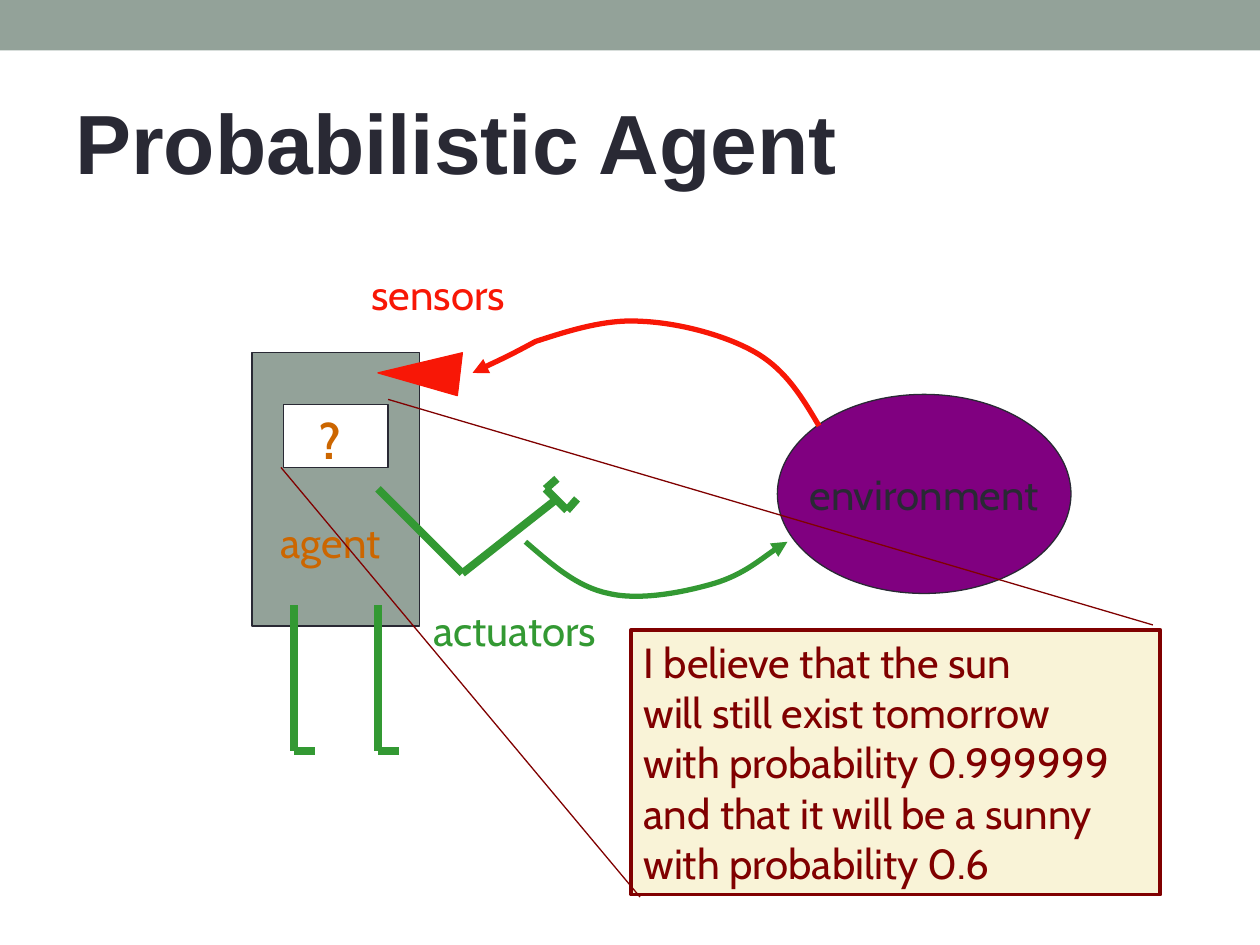
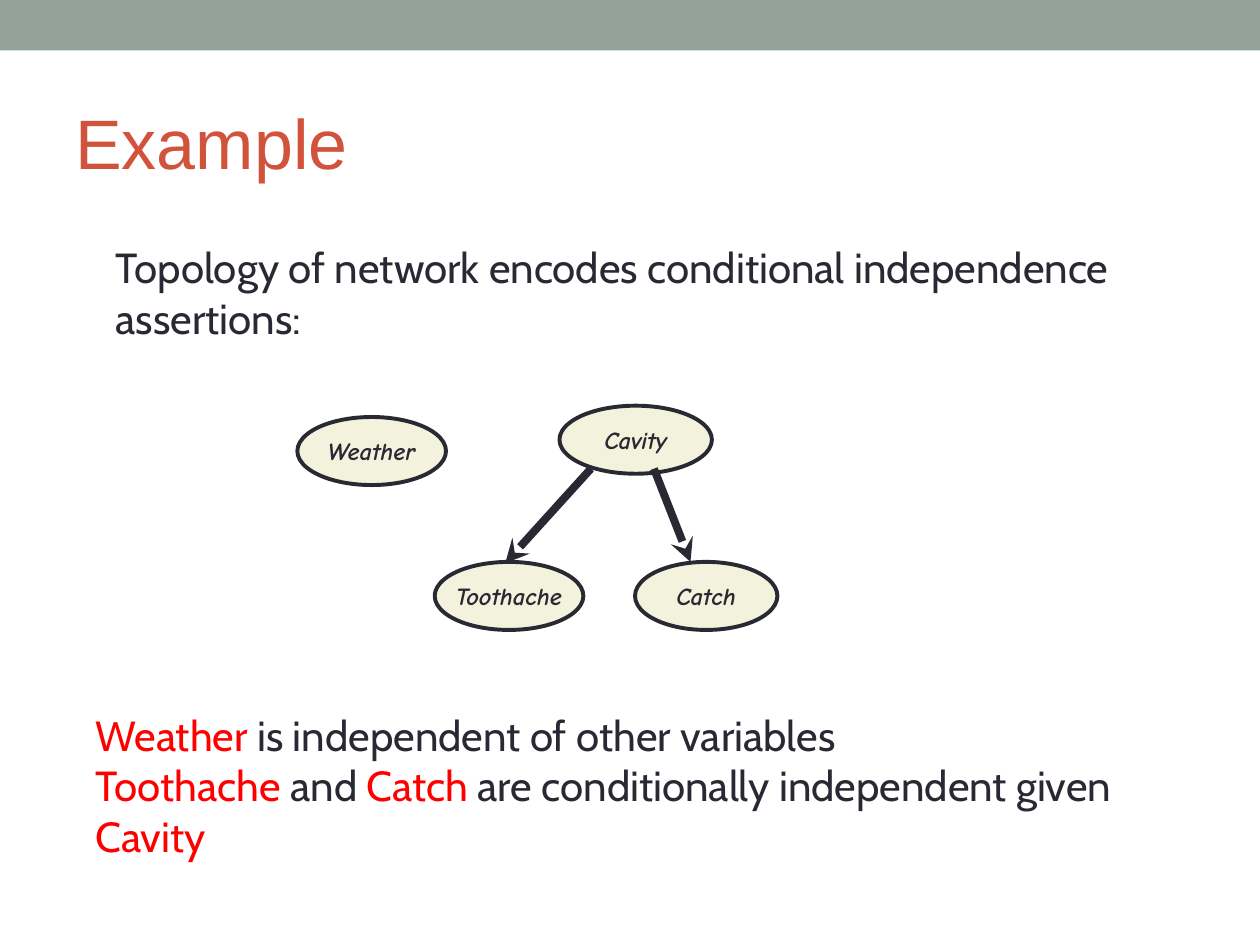
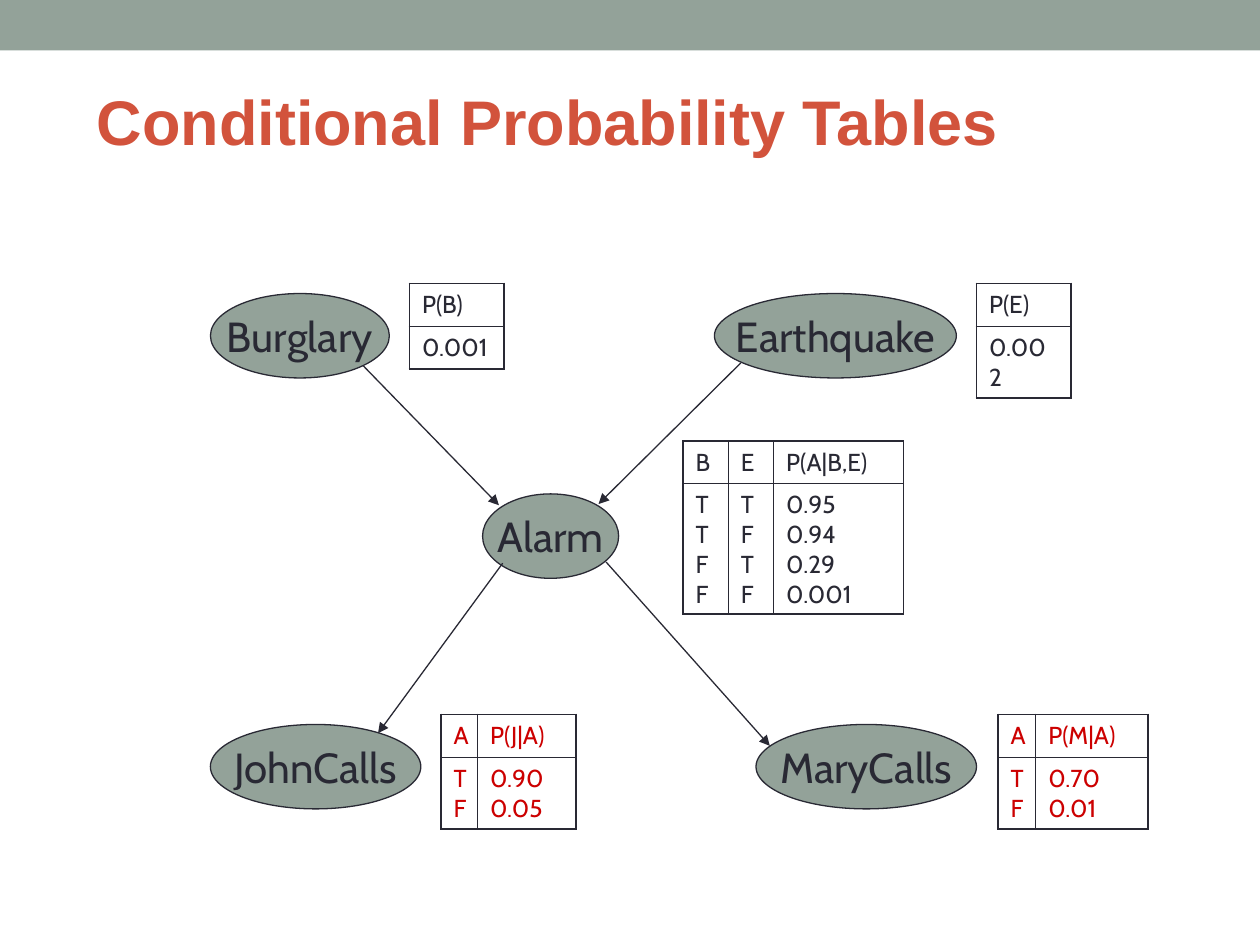
import pptx
import pptx.dml.color
import pptx.enum.shapes
import pptx.enum.text
import pptx.oxml.ns
import pptx.oxml.xmlchemy
import pptx.util
from lxml import etree

Inches = pptx.util.Inches
Pt = pptx.util.Pt
qn = pptx.oxml.ns.qn
SHAPES = pptx.enum.shapes.MSO_SHAPE
ALIGN = pptx.enum.text.PP_ALIGN
ANCHOR = pptx.enum.text.MSO_ANCHOR

COLORS = {
    "ink": "292934", "sage": "93A299", "brick": "D2533C", "white": "FFFFFF",
    "purple": "800080", "sensor": "F81706", "actuator": "339933",
    "agent": "CC6600", "maroon": "800000", "cream": "F9F3D7",
    "node": "F3F2DC", "variable": "FF0000", "evidence": "CC0000",
}
BODY_FONT = "Cabin"


def rgb(name):
    return pptx.dml.color.RGBColor.from_string(COLORS[name])


def write_text(frame, paragraphs, size=24, color="ink", font=BODY_FONT, bold=False,
               italic=False, align=ALIGN.LEFT, anchor=ANCHOR.TOP, wrap=True):
    """Each paragraph is a string or a list of (string, color); "\\n" is a line break."""
    frame.word_wrap = wrap
    frame.vertical_anchor = anchor
    for index, content in enumerate(paragraphs):
        paragraph = frame.paragraphs[0] if index == 0 else frame.add_paragraph()
        paragraph.alignment = align
        pieces = [(content, color)] if isinstance(content, str) else content
        for piece, piece_color in pieces:
            for number, line in enumerate(piece.split("\n")):
                if number:
                    paragraph.add_line_break()
                run = paragraph.add_run()
                run.text = line
                run.font.name = font
                run.font.size = Pt(size)
                run.font.bold = bold
                run.font.italic = italic
                run.font.color.rgb = rgb(piece_color)


def add_text(slide, left, top, width, height, paragraphs, **text_format):
    box = slide.shapes.add_textbox(Inches(left), Inches(top), Inches(width), Inches(height))
    write_text(box.text_frame, paragraphs, **text_format)


def set_line(shape, color, width, arrow=None):
    shape.line.color.rgb = rgb(color)
    shape.line.width = Pt(width)
    if arrow:
        line = shape._element.spPr.find(qn("a:ln"))
        etree.SubElement(line, qn("a:tailEnd")).set("type", arrow)


def add_box(slide, kind, left, top, width, height, fill, line="ink", line_width=0.75):
    shape = slide.shapes.add_shape(kind, Inches(left), Inches(top), Inches(width), Inches(height))
    shape.shadow.inherit = False
    shape.fill.solid()
    shape.fill.fore_color.rgb = rgb(fill)
    if line:
        set_line(shape, line, line_width)
    else:
        shape.line.fill.background()
    return shape


def add_line(slide, left, top, start, end, color, width, arrow=None):
    """Straight line between two points given relative to (left, top)."""
    connector = slide.shapes.add_connector(
        pptx.enum.shapes.MSO_CONNECTOR.STRAIGHT,
        Inches(left + start[0]), Inches(top + start[1]),
        Inches(left + end[0]), Inches(top + end[1]))
    set_line(connector, color, width, arrow)
    etree.SubElement(connector._element.spPr, qn("a:effectLst"))


def add_outline(slide, left, top, points, close):
    first, *others = [(Inches(left + x), Inches(top + y)) for x, y in points]
    builder = slide.shapes.build_freeform(*first)
    builder.add_line_segments(others, close=close)
    shape = builder.convert_to_shape()
    shape.shadow.inherit = False
    return shape


def add_curved_arrow(slide, left, top, points, color):
    """Start point, then two control points and an end point for each curve."""
    shape = add_outline(slide, left, top, points, close=False)
    outline = shape._element.spPr.find(".//" + qn("a:path"))
    segments = outline.findall(qn("a:lnTo"))
    for index in range(0, len(segments), 3):
        curve = etree.SubElement(outline, qn("a:cubicBezTo"))
        for segment in segments[index:index + 3]:
            curve.append(segment[0])
            outline.remove(segment)
    shape.fill.background()
    set_line(shape, color, 3, "triangle")


def add_slide(presentation, title, left=0.5, top=0.58, width=9, height=1.08, **title_format):
    """Blank slide with the top band and a title."""
    slide = presentation.slides.add_slide(presentation.slide_layouts[6])
    add_box(slide, SHAPES.RECTANGLE, 0, 0, 10, 0.4, "sage", line=None)
    add_text(slide, left, top, width, height, [title], font="Arial",
             anchor=ANCHOR.MIDDLE, **title_format)
    return slide


def add_node(slide, left, top, width, height, label, fill, line_width=0.75, **text_format):
    node = add_box(slide, SHAPES.OVAL, left, top, width, height, fill, line_width=line_width)
    write_text(node.text_frame, [label], align=ALIGN.CENTER, anchor=ANCHOR.MIDDLE,
               wrap=False, **text_format)


def draw_environment(slide, left, top):
    add_node(slide, left + 2.42, top + 0.6, 2.33, 1.58, "environment", "purple")
    add_curved_arrow(slide, left, top, [
        (2.75, 0.85),
        (2.62, 0.63), (2.49, 0.41), (2.25, 0.27),
        (2.01, 0.13), (1.63, 0.03), (1.33, 0.02),
        (1.04, 0), (0.72, 0.11), (0.5, 0.18),
        (0.28, 0.3), (0.08, 0.39), (0, 0.43)], "sensor")
    add_curved_arrow(slide, left, top, [
        (0.42, 1.77),
        (0.63, 1.95), (0.83, 2.13), (1.08, 2.18),
        (1.33, 2.24), (1.68, 2.17), (1.92, 2.1),
        (2.15, 2.03), (2.4, 1.82), (2.5, 1.77)], "actuator")


def draw_agent(slide, left, top):
    add_box(slide, SHAPES.RECTANGLE, left, top, 1.33, 2.17, "sage")
    add_text(slide, left + 0.13, top + 1.25, 1.1, 0.5, ["agent"], color="agent")
    add_box(slide, SHAPES.RECTANGLE, left + 0.25, top + 0.41, 0.83, 0.5, "white")
    add_text(slide, left + 0.44, top + 0.41, 0.38, 0.57, ["?"], size=28, bold=True, color="agent")

    arm = [((1, 1.08), (1.67, 1.75)), ((1.67, 1.75), (2.42, 1.16))]
    hand = [((2.33, 1.08), (2.5, 1.25)), ((2.33, 1.08), (2.42, 1)), ((2.5, 1.25), (2.58, 1.16))]
    legs = []
    for x in (0.33, 1):
        legs += [((x, 3.16), (x, 2)), ((x, 3.16), (x + 0.17, 3.16))]
    for start, end in arm + hand + legs:
        add_line(slide, left, top, start, end, "actuator", 4.5)

    eye = add_outline(slide, left, top, [(1, 0.16), (1.67, 0), (1.63, 0.34)], close=True)
    eye.fill.solid()
    eye.fill.fore_color.rgb = rgb("sensor")
    set_line(eye, "sensor", 0.75)
    add_text(slide, left + 0.85, top - 0.72, 1.41, 0.5, ["sensors"], color="sensor")
    add_text(slide, left + 1.34, top + 1.95, 1.68, 0.5, ["actuators"], color="actuator")


def draw_belief(slide, left, top):
    """Belief box with two lines that spread from the agent's window."""
    box = add_box(slide, SHAPES.RECTANGLE, left, top, 4.2, 2.1, "cream", "maroon", 2.25)
    write_text(box.text_frame, [
        "I believe that the sun",
        "will still exist tomorrow\nwith probability 0.999999",
        "and that it will be a sunny",
        "with probability 0.6"], color="maroon")
    for start, end in [((-1.93, -1.83), (4.14, -0.04)), ((-2.78, -1.29), (0.07, 2.12))]:
        add_line(slide, left, top, start, end, "maroon", 0.75)


def draw_topology(slide, left, top):
    nodes = [("Cavity", 2.08, 0, 1.21), ("Toothache", 1.09, 1.24, 1.18),
             ("Catch", 2.68, 1.24, 1.13), ("Weather", 0, 0.09, 1.18)]
    for label, x, y, width in nodes:
        add_node(slide, left + x, top + y, width, 0.54, label, "node", line_width=2.25,
                 size=14, font="Comic Neue", bold=True, italic=True)
    for start, end in [((2.33, 0.5), (1.65, 1.25)), ((2.83, 0.5), (3.12, 1.24))]:
        add_line(slide, left, top, start, end, "ink", 4.5, "stealth")


def set_borders(cell, widths):
    properties = cell._tc.get_or_add_tcPr()
    for side, width in zip("LRTB", widths):
        border = etree.SubElement(properties, qn(f"a:ln{side}"), w=str(Pt(width)))
        fill = etree.SubElement(border, qn("a:solidFill"))
        etree.SubElement(fill, qn("a:srgbClr"), val=COLORS["ink"])


def add_probability_table(slide, left, top, columns, heights, rows, color="ink"):
    frame = slide.shapes.add_table(len(rows), len(columns), Inches(left), Inches(top),
                                   Inches(sum(columns)), Inches(sum(heights)))
    table = frame.table
    table.first_row = table.horz_banding = False
    for column, width in zip(table.columns, columns):
        column.width = Inches(width)
    for row, height in zip(table.rows, heights):
        row.height = Inches(height)
    for y, values in enumerate(rows):
        for x, value in enumerate(values):
            cell = table.cell(y, x)
            on_edge = (x == 0, x == len(columns) - 1, y == 0, y == len(rows) - 1)
            set_borders(cell, [1.08 if edge else 0.45 for edge in on_edge])
            cell.fill.background()
            write_text(cell.text_frame, [value], size=14, color=color)


def draw_alarm_network(slide, left, top):
    nodes = [("Burglary", 0, 0, 1.42), ("Earthquake", 4, 0, 1.92), ("Alarm", 2.16, 1.59, 1.08),
             ("MaryCalls", 4.33, 3.42, 1.75), ("JohnCalls", 0, 3.42, 1.67)]
    for label, x, y, width in nodes:
        add_node(slide, left + x, top + y, width, 0.67, label, "sage")
    arrows = [((1.21, 0.57), (2.29, 1.68)), ((4.21, 0.55), (3.08, 1.67)),
              ((2.32, 2.14), (1.33, 3.49)), ((3.14, 2.13), (4.44, 3.59))]
    for start, end in arrows:
        add_line(slide, left, top, start, end, "ink", 0.75, "triangle")

    tables = [
        (3.75, 1.17, [0.36, 0.36, 1.03], [0.34, 1.03],
         [["B", "E", "P(A|B,E)"], ["TTFF", "TFTF", "0.95\n0.94\n0.29\n0.001"]], "ink"),
        (1.58, -0.08, [0.75], [0.34, 0.34], [["P(B)"], ["0.001"]], "ink"),
        (6.08, -0.08, [0.75], [0.34, 0.34], [["P(E)"], ["0.002"]], "ink"),
        (1.83, 3.34, [0.29, 0.78], [0.34, 0.57],
         [["A", "P(J|A)"], ["TF", "0.90\n0.05"]], "evidence"),
        (6.25, 3.34, [0.3, 0.89], [0.34, 0.57],
         [["A", "P(M|A)"], ["TF", "0.70\n0.01"]], "evidence"),
    ]
    for x, y, columns, heights, rows, color in tables:
        add_probability_table(slide, left + x, top + y, columns, heights, rows, color)


def build_agent_slide(presentation):
    slide = add_slide(presentation, "Probabilistic Agent", size=48, bold=True)
    draw_environment(slide, 3.75, 2.53)
    draw_agent(slide, 2, 2.8)
    draw_belief(slide, 5.01, 5)


def build_example_slide(presentation):
    slide = add_slide(presentation, "Example", size=40, color="brick")
    draw_topology(slide, 2.36, 3.22)
    add_text(slide, 0.82, 1.87, 8.6, 0.9,
             ["Topology of network encodes conditional independence assertions:"])
    add_text(slide, 0.66, 5.58, 9.31, 1.3, [
        [("Weather", "variable"), (" is independent of other variables", "ink")],
        [("Toothache ", "variable"), ("and ", "ink"), ("Catch", "variable"),
         (" are conditionally independent given", "ink")],
        [("Cavity", "variable")]])


def build_tables_slide(presentation):
    slide = add_slide(presentation, "Conditional Probability Tables", 0.67, 0.33, 9.08, 1.25,
                      size=36, bold=True, color="brick")
    draw_alarm_network(slide, 1.67, 2.33)


def main():
    presentation = pptx.Presentation()
    presentation.slide_width = Inches(10)
    presentation.slide_height = Inches(7.5)
    build_agent_slide(presentation)
    build_example_slide(presentation)
    build_tables_slide(presentation)
    presentation.save("out.pptx")


if __name__ == "__main__":
    main()
